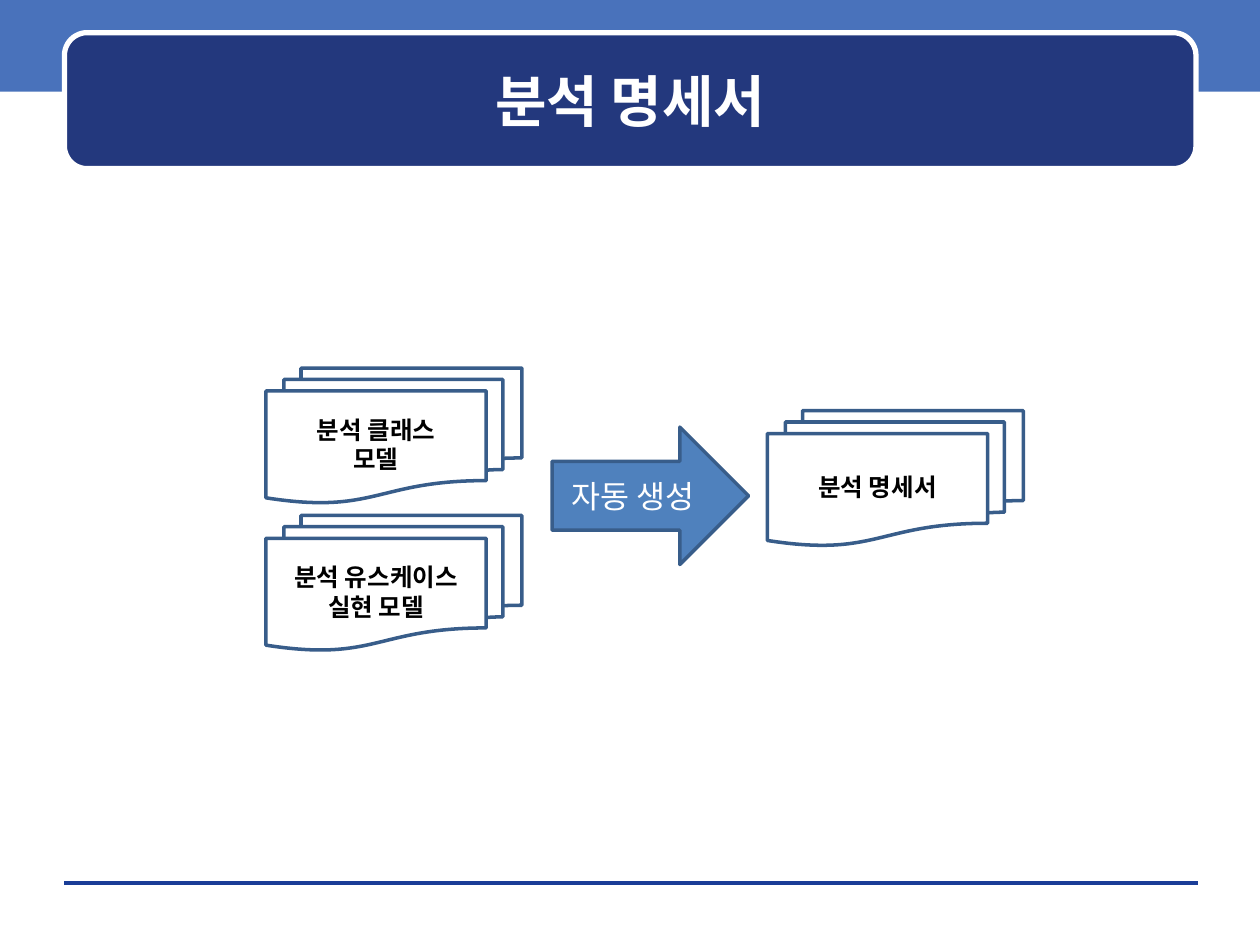
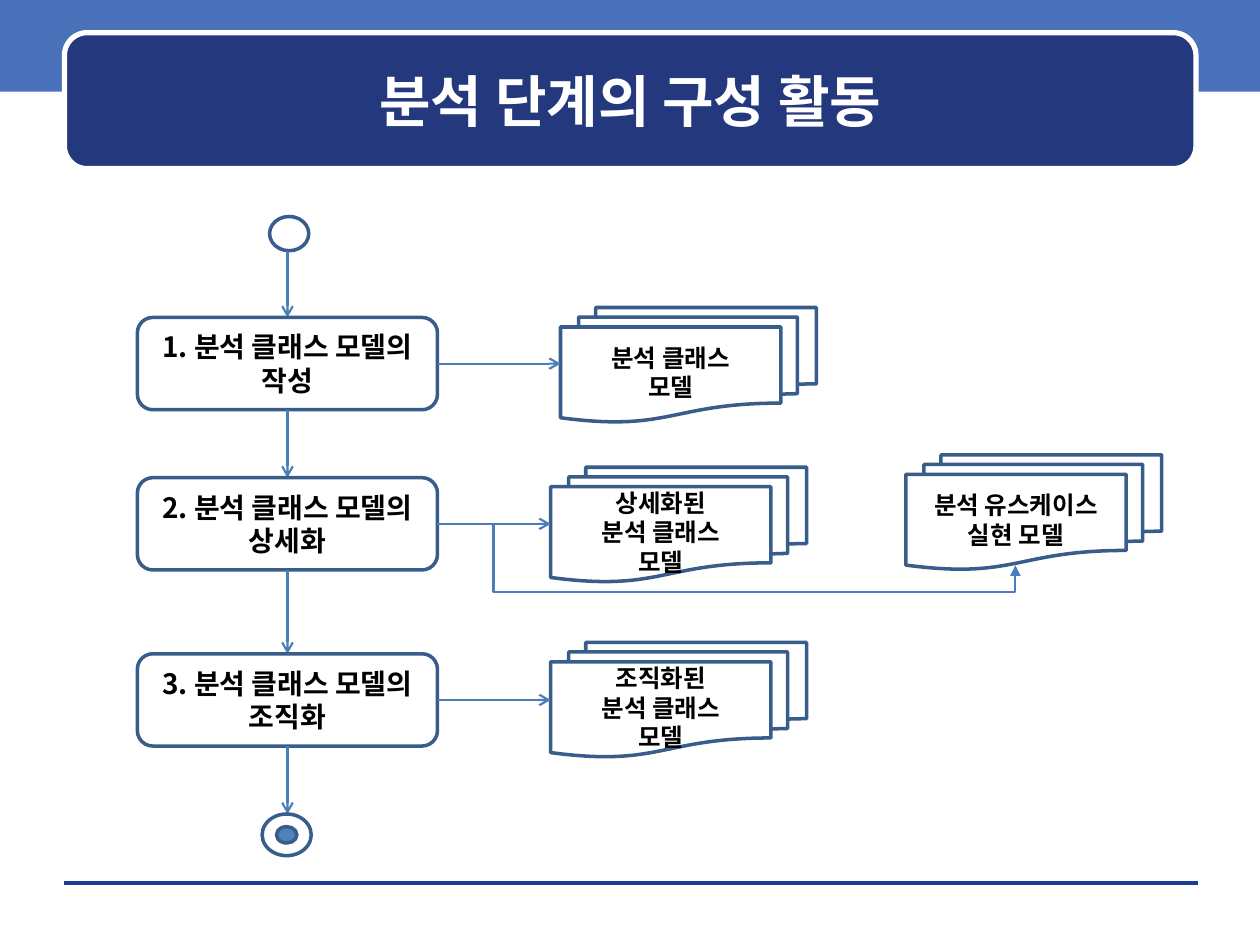
from lxml.etree import SubElement
from pptx import Presentation
from pptx.dml.color import RGBColor
from pptx.enum.shapes import MSO_CONNECTOR, MSO_SHAPE
from pptx.enum.text import MSO_ANCHOR, MSO_AUTO_SIZE, PP_ALIGN
from pptx.oxml.ns import qn
from pptx.util import Cm, Pt

WHITE = RGBColor(0xFF, 0xFF, 0xFF)
BLACK = RGBColor(0x00, 0x00, 0x00)
BAND = RGBColor(0x49, 0x72, 0xBB)
NAVY = RGBColor(0x23, 0x38, 0x7D)
RULE = RGBColor(0x1A, 0x3D, 0x97)
OUTLINE = RGBColor(0x38, 0x5D, 0x8A)
ACCENT = RGBColor(0x4F, 0x81, 0xBD)
FLOW = RGBColor(0x4A, 0x7E, 0xBB)
FONT = "Noto Sans CJK KR"


class Deck:
    """Holds the style and the current slide."""

    def __init__(self):
        self.deck = Presentation()
        self.deck.slide_width, self.deck.slide_height = Cm(25.4), Cm(19.05)

    def add_page(self, title):
        self.page = self.deck.slides.add_slide(self.deck.slide_layouts[5])
        # Shared band, footer rule and title panel
        self.shape(MSO_SHAPE.RECTANGLE, 0, -0.08, 25.4, 1.93, BAND, None)
        self.line(1.3, 17.8, 24.16, 17.8, RULE, 0, None)
        self.shape(MSO_SHAPE.ROUNDED_RECTANGLE, 1.3, 0.66, 22.81, 2.74, NAVY, WHITE, 3)
        # Title, brought in front of its panel
        box = self.page.shapes.title
        box.left, box.top, box.width, box.height = Cm(1.52), Cm(0.89), Cm(22.38), Cm(2.24)
        self.page.shapes._spTree.append(box._element)
        self.label(box, title, 32, WHITE)

    def label(self, box, text, size, color=BLACK, bold=True, side_inset=0.25):
        frame = box.text_frame
        frame.text = text
        frame.word_wrap = True
        frame.auto_size = MSO_AUTO_SIZE.NONE
        frame.vertical_anchor = MSO_ANCHOR.MIDDLE
        frame.margin_left = frame.margin_right = Cm(side_inset)
        frame.margin_top = frame.margin_bottom = Cm(0.13)
        for para in frame.paragraphs:
            para.alignment = PP_ALIGN.CENTER
            font = para.font
            font.size, font.bold, font.name = Pt(size), bold, FONT
            font.color.rgb = color
            SubElement(font._element, qn("a:ea"), typeface=FONT)

    def shape(self, kind, left, top, width, height, fill=None, line=OUTLINE, weight=2):
        box = self.page.shapes.add_shape(kind, Cm(left), Cm(top), Cm(width), Cm(height))
        box.shadow.inherit = False
        if fill is None:
            box.fill.background()
        else:
            box.fill.solid()
            box.fill.fore_color.rgb = fill
        if line is None:
            box.line.fill.background()
        else:
            box.line.color.rgb = line
            box.line.width = Pt(weight)
        return box

    def documents(self, left, top, text, height=2.31):
        box = self.shape(MSO_SHAPE.FLOWCHART_MULTIDOCUMENT, left, top, 5.16, height)
        self.label(box, text, 14, side_inset=0)

    def activity(self, left, top, width, height, text):
        box = self.shape(MSO_SHAPE.FLOWCHART_ALTERNATE_PROCESS, left, top, width, height)
        self.label(box, text, 16, side_inset=0)

    def circle(self, center_x, center_y, width, height, fill=None):
        self.shape(MSO_SHAPE.FLOWCHART_CONNECTOR, center_x - width / 2,
                   center_y - height / 2, width, height, fill)

    def block_arrow(self, left, top, width, height, text):
        box = self.shape(MSO_SHAPE.RIGHT_ARROW, left, top, width, height, ACCENT)
        self.label(box, text, 18, WHITE, bold=False)

    def line(self, x1, y1, x2, y2, color=FLOW, weight=1.25, head="arrow",
             kind=MSO_CONNECTOR.STRAIGHT):
        link = self.page.shapes.add_connector(kind, Cm(x1), Cm(y1), Cm(x2), Cm(y2))
        link.line.color.rgb = color
        link.line.width = Pt(weight)
        properties = link._element.spPr
        if head:
            SubElement(properties.find(qn("a:ln")), qn("a:tailEnd"), type=head)
        SubElement(properties, qn("a:effectLst"))
        return link

    def detour(self, x1, y1, x2, y2, *bends):
        """Elbow with four segments; bends are fractions of its extent."""
        link = self.line(x1, y1, x2, y2, head="triangle", kind=MSO_CONNECTOR.ELBOW)
        geometry = link._element.spPr.find(qn("a:prstGeom"))
        geometry.set("prst", "bentConnector4")
        guides = geometry.find(qn("a:avLst"))
        for number, bend in enumerate(bends, 1):
            SubElement(guides, qn("a:gd"), name=f"adj{number}",
                       fmla=f"val {round(bend * 100000)}")


deck = Deck()

# Slide 1: models turned into the specification
deck.add_page("분석 명세서")
for left, top, text in [
    (5.36, 7.42, "분석 클래스\n모델"),
    (5.36, 10.39, "분석 유스케이스\n실현 모델"),
    (15.47, 8.28, "분석 명세서"),
]:
    deck.documents(left, top, text, height=2.72)
deck.block_arrow(11.13, 8.61, 3.96, 2.77, "자동 생성")

# Slide 2: activities from start to end, each with its result
deck.add_page("분석 단계의 구성 활동")
LEFT, WIDTH, HEIGHT = 2.77, 6.05, 1.86
RIGHT, MIDDLE = LEFT + WIDTH, LEFT + WIDTH / 2
START_BOTTOM, END_TOP = 5.05, 16.41
activities = [
    (6.4, "작성", 11.3, 6.2, "분석 클래스\n모델"),
    (9.63, "상세화", 11.1, 9.42, "상세화된\n분석 클래스\n모델"),
    (13.18, "조직화", 11.1, 12.95, "조직화된\n분석 클래스\n모델"),
]
deck.circle(5.83, 4.71, 0.79, 0.69)
previous_bottom = START_BOTTOM
for number, (top, action, result_left, result_top, result) in enumerate(activities, 1):
    deck.line(MIDDLE, previous_bottom, MIDDLE, top)
    deck.activity(LEFT, top, WIDTH, HEIGHT, f"{number}. 분석 클래스 모델의\n{action}")
    deck.documents(result_left, result_top, result)
    deck.line(RIGHT, top + HEIGHT / 2, result_left, top + HEIGHT / 2)
    previous_bottom = top + HEIGHT
deck.line(MIDDLE, previous_bottom, MIDDLE, END_TOP)
deck.circle(5.78, 16.83, 0.41, 0.33, ACCENT)
deck.circle(5.78, 16.83, 0.99, 0.84)

# Second result of the detailing activity
deck.documents(18.26, 9.17, "분석 유스케이스\n실현 모델")
deck.detour(RIGHT, 10.56, 20.47, 11.4, 0.097, 1.642)

deck.deck.save("out.pptx")
